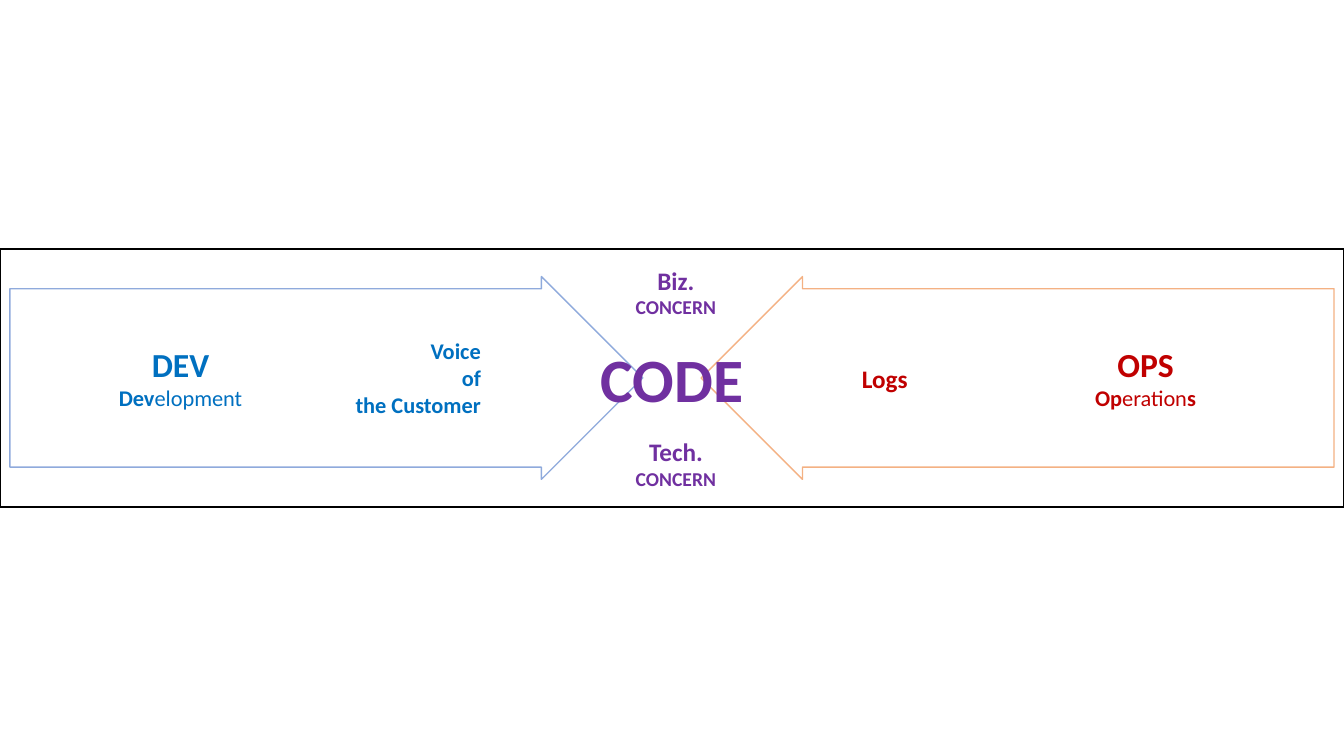
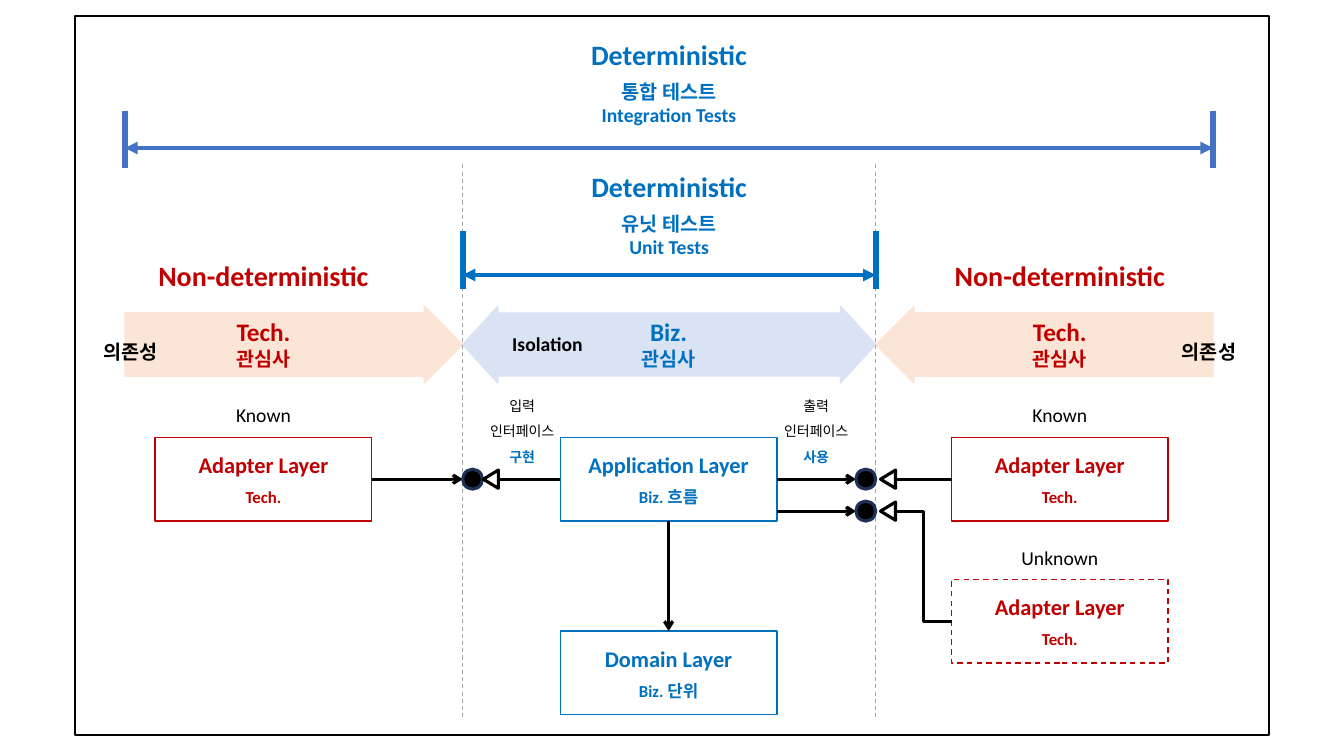
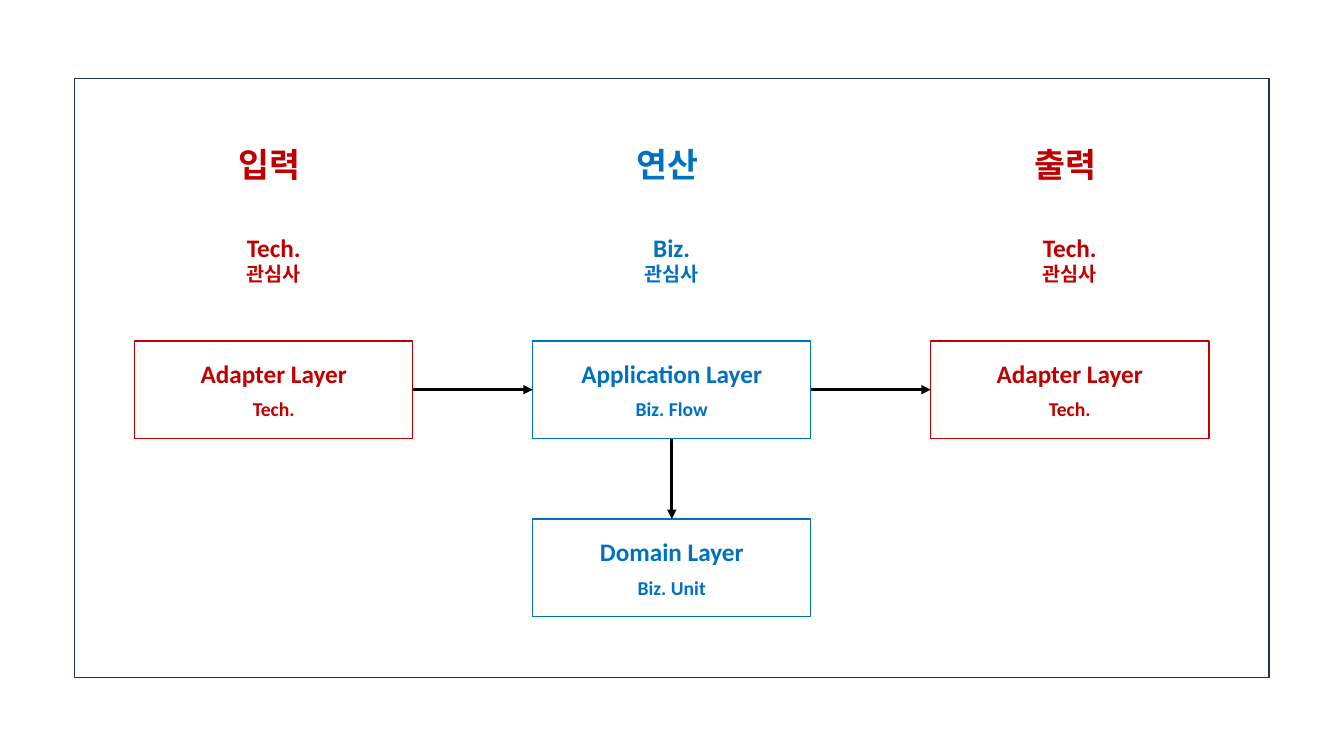
from lxml import etree
from pptx import Presentation
from pptx import util as u
from pptx.dml.color import RGBColor
from pptx.enum import dml, shapes, text
from pptx.oxml import ns

Cm, Pt = u.Cm, u.Pt
KIND, JOIN = shapes.MSO_SHAPE, shapes.MSO_CONNECTOR
ALIGN = text.PP_ALIGN
FONT = "Calibri"
WIDE, HIGH = 33.87, 19.05
HUE = {
    "black": "000000", "white": "FFFFFF", "navy": "1E3256", "gray": "A6A6A6",
    "blue": "0070C0", "red": "C00000", "plum": "7030A0", "royal": "4472C4",
    "sky": "8FAADC", "peach": "F4B183", "ice": "DAE3F3", "cream": "FBE5D6",
}


def tint(name):
    return RGBColor.from_string(HUE[name])


def write(frame, lines, hue, align=ALIGN.CENTER, space=1, gap=0):
    for i, (words, size, *own) in enumerate(lines):
        para = frame.paragraphs[0] if i == 0 else frame.add_paragraph()
        para.alignment = align
        para.line_spacing = space
        para.space_before = Pt(gap if i else 0)
        for j, part in enumerate(words.split("|")):
            if part:
                run = para.add_run()
                run.text = part
                run.font.name, run.font.size = FONT, Pt(size)
                run.font.bold = j % 2 == 0
                run.font.color.rgb = tint(own[0] if own else hue)


def label(slide, mid, top, wide, lines, hue, align=ALIGN.CENTER, space=1):
    tall = 0.25 + sum(line[1] for line in lines) * 0.043 * space
    box = slide.shapes.add_textbox(Cm(mid - wide / 2), Cm(top), Cm(wide), Cm(tall))
    box.text_frame.word_wrap = False
    write(box.text_frame, lines, hue, align, space)


def form(slide, kind, box, fill=None, line="black", width=1, adj=()):
    item = slide.shapes.add_shape(kind, *map(Cm, box))
    item.shadow.inherit = False
    if fill:
        item.fill.solid()
        item.fill.fore_color.rgb = tint(fill)
    else:
        item.fill.background()
    item.line.color.rgb = tint(line)
    item.line.width = Pt(width)
    for i, value in enumerate(adj):
        item.adjustments[i] = value
    return item


def wire(slide, start, end, hue="black", width=2.25, head=None, tail=None,
         dash=False, kind=JOIN.STRAIGHT, source=None, target=None):
    item = slide.shapes.add_connector(kind, *map(Cm, start + end))
    if source:
        item.begin_connect(*source)
    if target:
        item.end_connect(*target)
    item.line.color.rgb = tint(hue)
    item.line.width = Pt(width)
    if dash:
        item.line.dash_style = dml.MSO_LINE.DASH
    stroke = item.line._get_or_add_ln()
    for tag, shape in (("a:headEnd", head), ("a:tailEnd", tail)):
        if shape:
            etree.SubElement(stroke, ns.qn(tag)).set("type", shape)
    etree.SubElement(item._element.spPr, ns.qn("a:effectLst"))


def card(slide, box, name, note, hue, sizes, dash=False):
    item = form(slide, KIND.RECTANGLE, box, line=hue)
    if dash:
        item.line.dash_style = dml.MSO_LINE.DASH
    item.text_frame.vertical_anchor = text.MSO_ANCHOR.MIDDLE
    write(item.text_frame, list(zip((name, note), sizes)), hue, gap=6)
    return item


def concern(slide, mid, top, side, hue, word="관심사"):
    label(slide, mid, top, 2.6, [(side, 18), (word, 14)], hue)


def span(slide, left, right, top, line, tick, hue, lines):
    mid = (left + right) / 2
    label(slide, mid, top, 4.5, [("Deterministic", 20)], "blue")
    label(slide, mid, top + 1.07, 4, [(words, 14) for words in lines], "blue")
    for x in (left, right):
        wire(slide, (x, top + tick), (x, top + tick + 1.45), hue, 4.5)
    wire(slide, (left, top + line), (right, top + line), hue, 3,
         head="triangle", tail="triangle")


def port(slide, dot, tip, y):
    form(slide, KIND.OVAL, (dot - 0.25, y - 0.25, 0.5, 0.5), "black", "navy", 2.25)
    cone = form(slide, KIND.ISOSCELES_TRIANGLE,
                (tip - 0.23, y - 0.19, 0.46, 0.38), "white", "black", 2.25)
    cone.rotation = 270


def devops(slide, box):
    left, top, wide, tall = box
    mid = left + wide / 2
    long, high, edge = 15.95, 5.11, 0.25
    for kind, x, fill, hue in (
        (KIND.RIGHT_ARROW, left + edge, "white", "sky"),
        (KIND.LEFT_ARROW, left + wide - edge - long, None, "peach"),
    ):
        form(slide, kind, (x, top + 0.7, long, high), fill, hue, adj=(0.88, 0.5))
    label(slide, left + 4.55, top + 2.26, 3.7,
          [("DEV", 24), ("Dev|elopment", 16)], "blue")
    label(slide, left + 28.87, top + 2.26, 3.2,
          [("OPS", 24), ("Op|eration|s", 16)], "red")
    label(slide, mid, top + 2.19, 4.2, [("CODE", 44)], "plum")
    form(slide, KIND.RECTANGLE, box, width=1.5)
    label(slide, left + 10.52, top + 2.11, 3.7,
          [("Voice", 16), ("of", 16), ("the Customer", 16)], "blue", ALIGN.RIGHT)
    label(slide, left + 22.3, top + 2.75, 1.7, [("Logs", 18)], "red")
    for side, drop in (("Biz.", 0.28), ("Tech.", 4.6)):
        concern(slide, mid + 0.1, top + drop, side, "plum", "CONCERN")


def zones(slide, box, edges, mids):
    top = box[1]
    far, near, next_, last = edges
    band = top + 7.31
    for kind, x, end, hue, adj in (
        (KIND.LEFT_ARROW, next_, last, "cream", (0.83, 0.5)),
        (KIND.RIGHT_ARROW, far, near, "cream", (0.83, 0.5)),
        (KIND.LEFT_RIGHT_ARROW, near, next_, "ice", (0.82, 0.46)),
    ):
        form(slide, kind, (x, band, end - x, 1.93), hue, hue, adj=adj)
    for mid, side, hue in zip(mids, ("Tech.", "Biz.", "Tech."), ("red", "blue", "red")):
        concern(slide, mid, band + 0.13, side, hue)
    for mid in mids[::2]:
        label(slide, mid, top + 5.97, 5.9, [("Non-deterministic", 20)], "red")
        label(slide, mid, top + 9.62, 1.9, [("|Known", 14)], "black")
    for x in (near, next_):
        wire(slide, (x, top + 3.73), (x, top + 17.7), "gray", 0.75, dash=True)
    label(slide, near + 2.14, band + 0.53, 2.3, [("Isolation", 14)], "black")
    for x in (far + 0.13, last - 0.1):
        label(slide, x, band + 0.43, 2, [("의존성", 14)], "black", space=1.5)
    span(slide, far, last, top + 0.4, 2.92, 1.98, "royal",
         ("통합 테스트", "Integration Tests"))
    span(slide, near, next_, top + 3.73, 2.79, 1.68, "blue",
         ("유닛 테스트", "Unit Tests"))


def layers(slide, top, edges, mids):
    wide, tall = 5.46, 2.11
    half = wide / 2
    near, next_ = edges[1:3]
    row, low = top + tall / 2, top + 1.86

    def place(mid, drop, *rest, **more):
        spot = (mid - half, top + drop, wide, tall)
        return card(slide, spot, *rest, (16, 12), **more)

    entry, core, exit_ = (
        place(mid, 0, name, note, hue) for mid, name, note, hue in zip(
            mids, ("Adapter Layer", "Application Layer", "Adapter Layer"),
            ("Tech.", "Biz. 흐름", "Tech."), ("red", "blue", "red")))
    unit = place(mids[1], 4.88, "Domain Layer", "Biz. 단위", "blue")
    place(mids[2], 3.58, "Adapter Layer", "Tech.", "red", dash=True)
    label(slide, mids[2], top + 2.62, 2.5, [("|Unknown", 14)], "black")

    dot, tip = next_ - 0.25, next_ + 0.31
    start, stop, base = mids[1] + half, dot - 0.25, tip + 0.2
    wire(slide, (mids[0] + half, row), (near, row), tail="arrow", source=(entry, 3))
    wire(slide, (start, row), (stop, row), tail="arrow", source=(core, 3))
    wire(slide, (start, low), (stop, low), tail="arrow")
    wire(slide, (mids[1], top + tall), (mids[1], top + 4.88), tail="arrow",
         source=(core, 2), target=(unit, 0))
    wire(slide, (mids[1] - half, row), (near + 0.91, row), source=(core, 1))
    wire(slide, (mids[2] - half, row), (base, row), source=(exit_, 1))
    wire(slide, (base, low), (mids[2] - half, row + 3.58), kind=JOIN.ELBOW)
    port(slide, near + 0.25, near + 0.71, row)
    for y in (row, low):
        port(slide, dot, tip, y)
    for x, flow, use in ((near + 1.5, "입력", "구현"), (next_ - 1.5, "출력", "사용")):
        label(slide, x, top - 1.34, 2.3,
              [("|" + flow, 10), ("|인터페이스", 10), (use, 10, "blue")],
              "black", space=1.5)


def tests(slide, box):
    edges = (3.15, 11.66, 22.07, 30.57)
    mids = (6.64, 16.85, 26.71)
    form(slide, KIND.RECTANGLE, box, width=1.5)
    zones(slide, box, edges, mids)
    layers(slide, box[1] + 10.61, edges, mids)


def flow(slide, box):
    left, top, wide, tall = box
    form(slide, KIND.RECTANGLE, box, line="navy")
    long, high, step = 7.01, 2.46, 10.03
    row, drop = top + 6.61, 4.49
    mids = [left + wide / 2 + step * i for i in (-1, 0, 1)]
    cards = []
    for mid, head, side, name, note, hue in zip(
        mids, ("입력", "연산", "출력"), ("Tech.", "Biz.", "Tech."),
        ("Adapter Layer", "Application Layer", "Adapter Layer"),
        ("Tech.", "Biz. Flow", "Tech."), ("red", "blue", "red"),
    ):
        label(slide, mid - 0.1, top + 1.53, 2.2, [(head, 24)], hue)
        concern(slide, mid, top + 3.74, side, hue)
        cards.append(card(slide, (mid - long / 2, row, long, high),
                          name, note, hue, (18, 14)))
    unit = card(slide, (mids[1] - long / 2, row + drop, long, high),
                "Domain Layer", "Biz. Unit", "blue", (18, 14))
    for source, target in (
        ((cards[0], 3), (cards[1], 1)),
        ((cards[1], 3), (cards[2], 1)),
        ((cards[1], 2), (unit, 0)),
    ):
        wire(slide, (0, 0), (1, 1), tail="triangle", source=source, target=target)


def main():
    deck = Presentation()
    deck.slide_width, deck.slide_height = Cm(WIDE), Cm(HIGH)
    blank = deck.slide_layouts[6]
    for build, box in (
        (devops, (0, 6.27, WIDE, 6.5)),
        (tests, (1.88, 0.41, 30.1, 18.11)),
        (flow, (1.88, 1.98, 30.1, 15.09)),
    ):
        build(deck.slides.add_slide(blank), box)
    deck.save("out.pptx")


if __name__ == "__main__":
    main()
